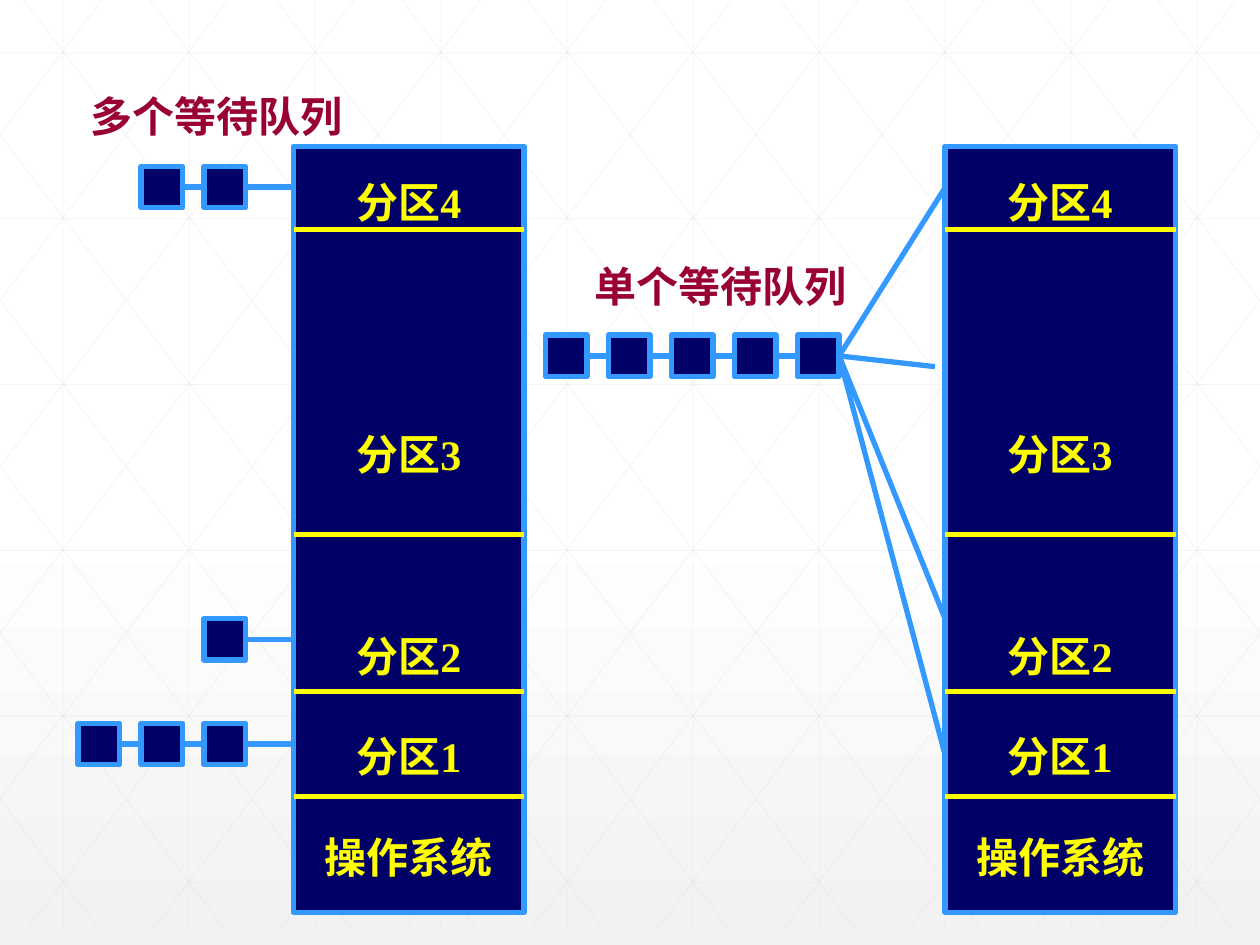
from lxml import etree
from pptx import Presentation
from pptx import util as u
from pptx.dml.color import RGBColor
from pptx.enum import shapes, text
from pptx.oxml.ns import qn

THEME = {
    "navy": RGBColor.from_string("000066"),
    "blue": RGBColor.from_string("3399FF"),
    "yellow": RGBColor.from_string("FFFF00"),
    "crimson": RGBColor.from_string("990033"),
    "grid": RGBColor.from_string("D9D9D9"),
    "white": RGBColor.from_string("FFFFFF"),
    "pale": RGBColor.from_string("F2F2F2"),
    "font": "Times New Roman", "size": 24, "line": 3, "grid_line": 0.5,
}

# Content: (label, line pitches down from the label above)
PARTITIONS = [("分区4", 0), ("分区3", 5), ("分区2", 4), ("分区1", 2), ("操作系统", 2)]
DIVIDERS = [1.82, 4.24, 5.49, 6.32]
HEADINGS = [("多个等待队列", 0.62, 0.67), ("单个等待队列", 4.62, 2.02)]
# (left of last job, top, number of jobs)
PARTITION_QUEUES = [(1.62, 1.32, 2), (1.62, 4.91, 1), (1.62, 5.74, 3)]
SHARED_QUEUE = (6.33, 2.66, 5)
FAN_ENDS = [(7.5, 1.49), (7.42, 2.91), (7.5, 4.91), (7.5, 5.99)]

WIDTH, HEIGHT = 10, 7.5
MEMORY_TOP, MEMORY_WIDTH, MEMORY_HEIGHT = 1.16, 1.83, 6.08
MEMORY_LEFTS = {"multiple": 2.33, "single": 7.5}
JOB, JOB_STEP = 0.33, 0.5
LINE_PITCH = 28.8
GRID_BOTTOM, GRID_SLOPE = 7.37, 1.318

deck = Presentation()
deck.slide_width, deck.slide_height = u.Inches(WIDTH), u.Inches(HEIGHT)
slide = deck.slides.add_slide(deck.slide_layouts[6])


def add_line(start, end, color, width=THEME["line"], opacity=None):
    points = [u.Inches(v) for v in (*start, *end)]
    line = slide.shapes.add_connector(shapes.MSO_CONNECTOR.STRAIGHT, *points)
    line.line.color.rgb = THEME[color]
    line.line.width = u.Pt(width)
    props = line._element.spPr
    if opacity:
        rgb = props.find(".//" + qn("a:srgbClr"))
        etree.SubElement(rgb, qn("a:alpha"), val=str(opacity * 1000))
    etree.SubElement(props, qn("a:effectLst"))
    return line


def add_box(left, top, width, height):
    box = slide.shapes.add_shape(shapes.MSO_SHAPE.RECTANGLE,
                                 *map(u.Inches, (left, top, width, height)))
    box.shadow.inherit = False
    box.fill.solid()
    box.fill.fore_color.rgb = THEME["navy"]
    box.line.color.rgb = THEME["blue"]
    box.line.width = u.Pt(THEME["line"])
    return box


def write(paragraph, words, color):
    run = paragraph.add_run()
    run.text = words
    style = {"name": THEME["font"], "size": u.Pt(THEME["size"]), "bold": True}
    for key, value in style.items():
        setattr(run.font, key, value)
    run.font.color.rgb = THEME[color]


def add_memory(left):
    memory = add_box(left, MEMORY_TOP, MEMORY_WIDTH, MEMORY_HEIGHT)
    frame = memory.text_frame
    frame.word_wrap = False
    frame.vertical_anchor = text.MSO_ANCHOR.MIDDLE
    for i, (label, pitches) in enumerate(PARTITIONS):
        paragraph = frame.add_paragraph() if i else frame.paragraphs[0]
        paragraph.alignment = text.PP_ALIGN.CENTER
        if pitches:
            paragraph.space_before = u.Pt((pitches - 1) * LINE_PITCH)
        write(paragraph, label, "yellow")
    for y in DIVIDERS:
        add_line((left, y), (left + MEMORY_WIDTH, y), "yellow")


def add_queue(last_left, top, count):
    """Draw a row of joined jobs and return the one at its head."""
    jobs = [add_box(last_left - i * JOB_STEP, top, JOB, JOB)
            for i in reversed(range(count))]
    for job, following in zip(jobs, jobs[1:]):
        link = add_line((0, 0), (0, 0), "blue")
        link.begin_connect(job, 3)
        link.end_connect(following, 1)
    return jobs[-1]


def add_lead(job, end):
    add_line((0, 0), end, "blue").begin_connect(job, 3)


def add_grid_line(start, end):
    add_line(start, end, "grid", THEME["grid_line"], opacity=25)


def add_diagonal(top_x, direction):
    """Draw a sloping grid line, clipped to the slide's sides."""
    def point(x):
        x = min(max(x, 0), WIDTH)
        return x, (x - top_x) * direction * GRID_SLOPE
    add_grid_line(point(top_x), point(top_x + direction * GRID_BOTTOM / GRID_SLOPE))


# Background gradient
background = slide.background.fill
background.gradient()
background.gradient_angle = 270
for stop, (position, color) in zip(background.gradient_stops,
                                   [(0.53, "white"), (1, "pale")]):
    stop.position = position
    stop.color.rgb = THEME[color]

# Background lattice
for i in range(10):
    add_grid_line((0.5 + i, 0), (0.5 + i, GRID_BOTTOM))
for i in range(6):
    y = 0.42 + 1.316 * i
    add_grid_line((0, y), (WIDTH, y))
for i in range(15):
    add_diagonal(i - 4.81, 1)
    add_diagonal(i + 0.81, -1)

# Memory fed by one shared queue
add_memory(MEMORY_LEFTS["single"])

# One queue per partition
for queue in PARTITION_QUEUES:
    head = add_queue(*queue)
    add_lead(head, (2.37, queue[1] + JOB / 2))

# Headings
for words, left, top in HEADINGS:
    heading = slide.shapes.add_textbox(*map(u.Inches, (left, top, 2.21, 0.5)))
    heading.text_frame.word_wrap = False
    heading.text_frame.auto_size = text.MSO_AUTO_SIZE.SHAPE_TO_FIT_TEXT
    write(heading.text_frame.paragraphs[0], words, "crimson")

# Shared queue fanning out to the partitions
shared_head = add_queue(*SHARED_QUEUE)
for end in FAN_ENDS:
    add_lead(shared_head, end)

# Memory fed by separate queues, over the ends of their leads
add_memory(MEMORY_LEFTS["multiple"])

deck.save("out.pptx")
